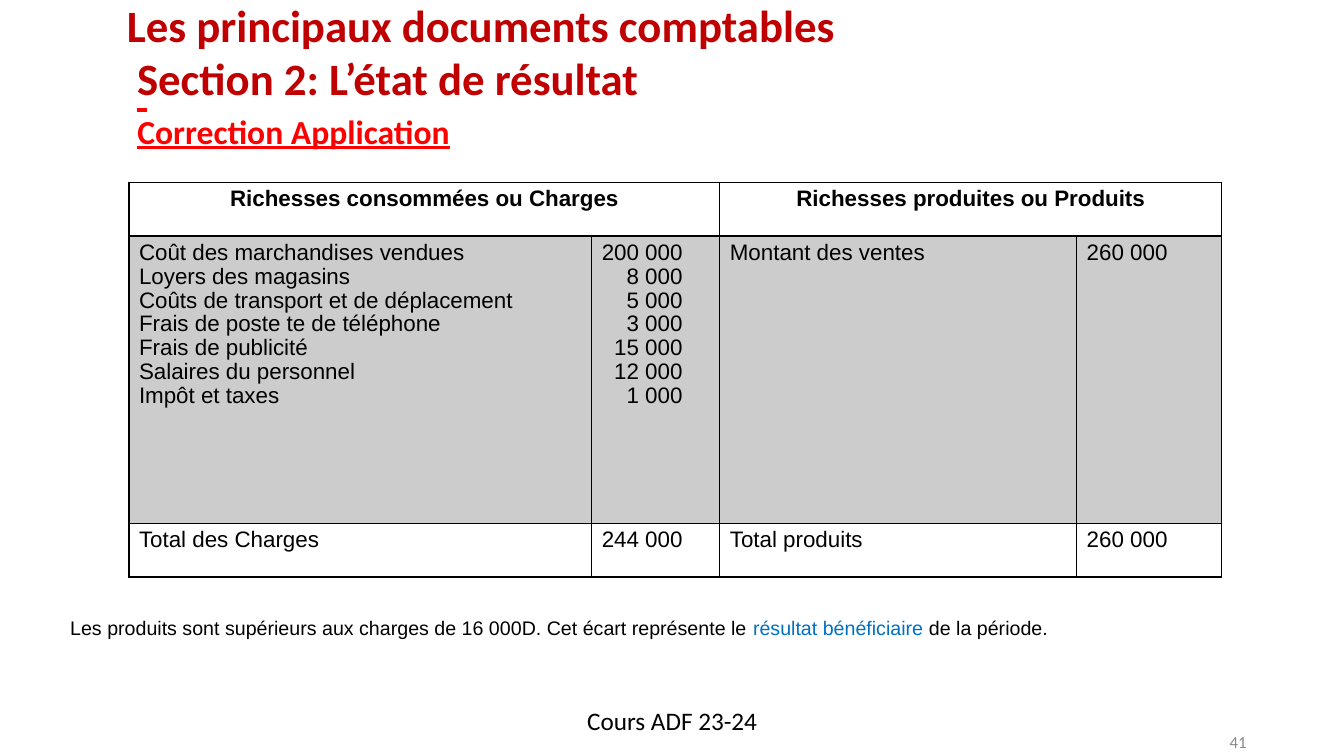
"""Build the income statement correction slide."""
import pptx
import pptx.dml.color
import pptx.enum.text
import pptx.oxml
import pptx.oxml.ns
import pptx.util

Cm = pptx.util.Cm
Pt = pptx.util.Pt
ALIGN = pptx.enum.text.PP_ALIGN
ANCHOR = pptx.enum.text.MSO_ANCHOR

CHARGES = [
    ("Coût des marchandises vendues", "200 000"),
    ("Loyers des magasins", "8 000"),
    ("Coûts de transport et de déplacement", "5 000"),
    ("Frais de poste te de téléphone", "3 000"),
    ("Frais de publicité", "15 000"),
    ("Salaires du personnel", "12 000"),
    ("Impôt et taxes", "1 000"),
]
STATEMENT = [
    [["Richesses consommées ou Charges"], [], ["Richesses produites ou Produits"], []],
    [[label for label, _ in CHARGES], [amount for _, amount in CHARGES],
     ["Montant des ventes"], ["260 000"]],
    [["Total des Charges"], ["244 000"], ["Total produits"], ["260 000"]],
]
COLUMN_WIDTHS = [11.66, 3.23, 8.99, 3.66]
ROW_HEIGHTS = [1.35, 7.24, 1.35]


def colour(value):
    """Turn a hex string into a colour."""
    return pptx.dml.color.RGBColor.from_string(value)


def write(para, text, size=16, font="Arial", color="000000", bold=False,
          underline=False, align=ALIGN.LEFT, spacing=None):
    """Append a formatted span of text to a paragraph."""
    para.alignment = align
    if spacing:
        para.line_spacing = spacing
    span = para.add_run()
    span.text = text
    span.font.size = Pt(size)
    span.font.name = font
    span.font.bold = bold
    span.font.underline = underline
    span.font.color.rgb = colour(color)


def set_frame(frame, inset=0.25, anchor=ANCHOR.TOP):
    """Set the wrapping, margins and anchor of a text frame."""
    frame.word_wrap = True
    frame.auto_size = pptx.enum.text.MSO_AUTO_SIZE.NONE
    frame.vertical_anchor = anchor
    frame.margin_left = frame.margin_right = Cm(inset)
    frame.margin_top = frame.margin_bottom = Cm(0.13)


def add_box(page, left, top, width, height, **frame_format):
    """Add a text box and return its text frame."""
    box = page.shapes.add_textbox(Cm(left), Cm(top), Cm(width), Cm(height))
    set_frame(box.text_frame, **frame_format)
    return box.text_frame


def set_borders(cell, bottom=1):
    """Draw black lines around a table cell."""
    properties = cell._tc.get_or_add_tcPr()
    for side, width in (("L", 1), ("R", 1), ("T", 1), ("B", bottom)):
        properties.append(pptx.oxml.parse_xml(
            f'<a:ln{side} {pptx.oxml.ns.nsdecls("a")} w="{Pt(width)}">'
            f'<a:solidFill><a:srgbClr val="000000"/></a:solidFill></a:ln{side}>'))


def fill_cell(cell, lines, row, column):
    """Format a statement cell and write its lines."""
    header = row == 0
    set_borders(cell, bottom=2 if header else 1)
    if row == 1:
        cell.fill.solid()
        cell.fill.fore_color.rgb = colour("CCCCCC")
    else:
        cell.fill.background()
    align = ALIGN.CENTER if header else ALIGN.LEFT
    if column % 2 and not header:
        align = ALIGN.RIGHT
        cell.margin_right = Cm(0.94 if column == 1 else 1.37)
        cell.margin_left = Cm(0.1)
    for index, line in enumerate(lines):
        frame = cell.text_frame
        para = frame.add_paragraph() if index else frame.paragraphs[0]
        write(para, line, bold=header, align=align, spacing=0.96)


def add_statement(page):
    """Add the table of charges and products."""
    table = page.shapes.add_table(
        len(ROW_HEIGHTS), len(COLUMN_WIDTHS), Cm(3.25), Cm(4.6),
        Cm(sum(COLUMN_WIDTHS)), Cm(sum(ROW_HEIGHTS))).table
    table.horz_banding = False
    table.first_row = False
    for column, width in zip(table.columns, COLUMN_WIDTHS):
        column.width = Cm(width)
    for row, height in zip(table.rows, ROW_HEIGHTS):
        row.height = Cm(height)
    for first in (0, 2):
        table.cell(0, first).merge(table.cell(0, first + 1))
    for row, cells in enumerate(STATEMENT):
        for column, lines in enumerate(cells):
            fill_cell(table.cell(row, column), lines, row, column)


def add_title(page):
    """Place and write the slide title."""
    title = page.shapes.title
    title.left, title.top = Cm(3.33), Cm(0.91)
    title.width, title.height = Cm(19.76), Cm(3.68)
    set_frame(title.text_frame, inset=0.13, anchor=ANCHOR.MIDDLE)
    para = title.text_frame.paragraphs[0]
    style = dict(font="Calibri", color="FF0000", bold=True, underline=True, spacing=0.9)
    write(para, " ", size=32, **style)
    para.add_line_break()
    write(para, "Correction Application", size=24, **style)


def add_chapter(page):
    """Add the chapter and section headings."""
    frame = add_box(page, 2.95, -0.03, 24.56, 4.14)
    style = dict(size=32, font="Calibri", color="C00000", bold=True, spacing=0.9)
    write(frame.paragraphs[0], "Les principaux documents comptables", **style)
    section = frame.add_paragraph()
    section.space_before = Pt(3)
    write(section, " Section 2: L’état de résultat", **style)


def add_conclusion(page):
    """Add the sentence about the result."""
    para = add_box(page, 1.52, 15.39, 31.5, 1.02).paragraphs[0]
    write(para, "Les produits sont supérieurs aux charges de 16 000D. "
                "Cet écart représente le ", size=14)
    write(para, "résultat bénéficiaire ", size=14, color="0070C0")
    write(para, "de la période.", size=14)


def add_footer(page):
    """Add the course name and the page number."""
    course = add_box(page, 11.58, 17.65, 10.72, 1.02)
    write(course.paragraphs[0], "Cours ADF 23-24", size=18, font="Calibri",
          align=ALIGN.CENTER)
    number = add_box(page, 30.81, 18.31, 0.74, 0.76, inset=0.13, anchor=ANCHOR.MIDDLE)
    write(number.paragraphs[0], "41", size=12, font="Calibri", color="888888",
          align=ALIGN.RIGHT)


def main():
    """Build and save the deck."""
    deck = pptx.Presentation()
    deck.slide_width, deck.slide_height = Cm(33.87), Cm(19.05)
    page = deck.slides.add_slide(deck.slide_layouts.get_by_name("Title Only"))
    add_title(page)
    add_statement(page)
    add_conclusion(page)
    add_footer(page)
    add_chapter(page)
    deck.save("out.pptx")


if __name__ == "__main__":
    main()
